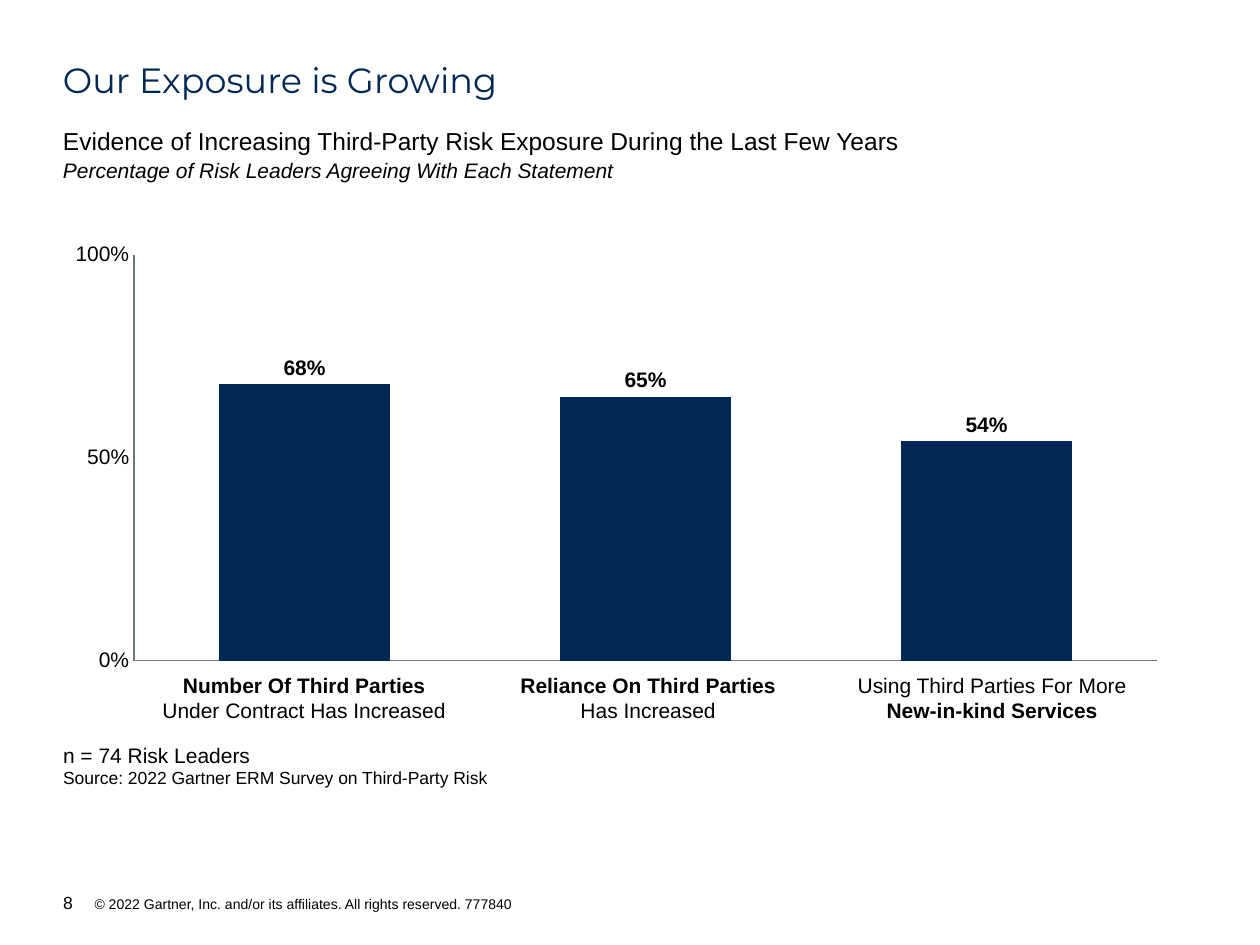
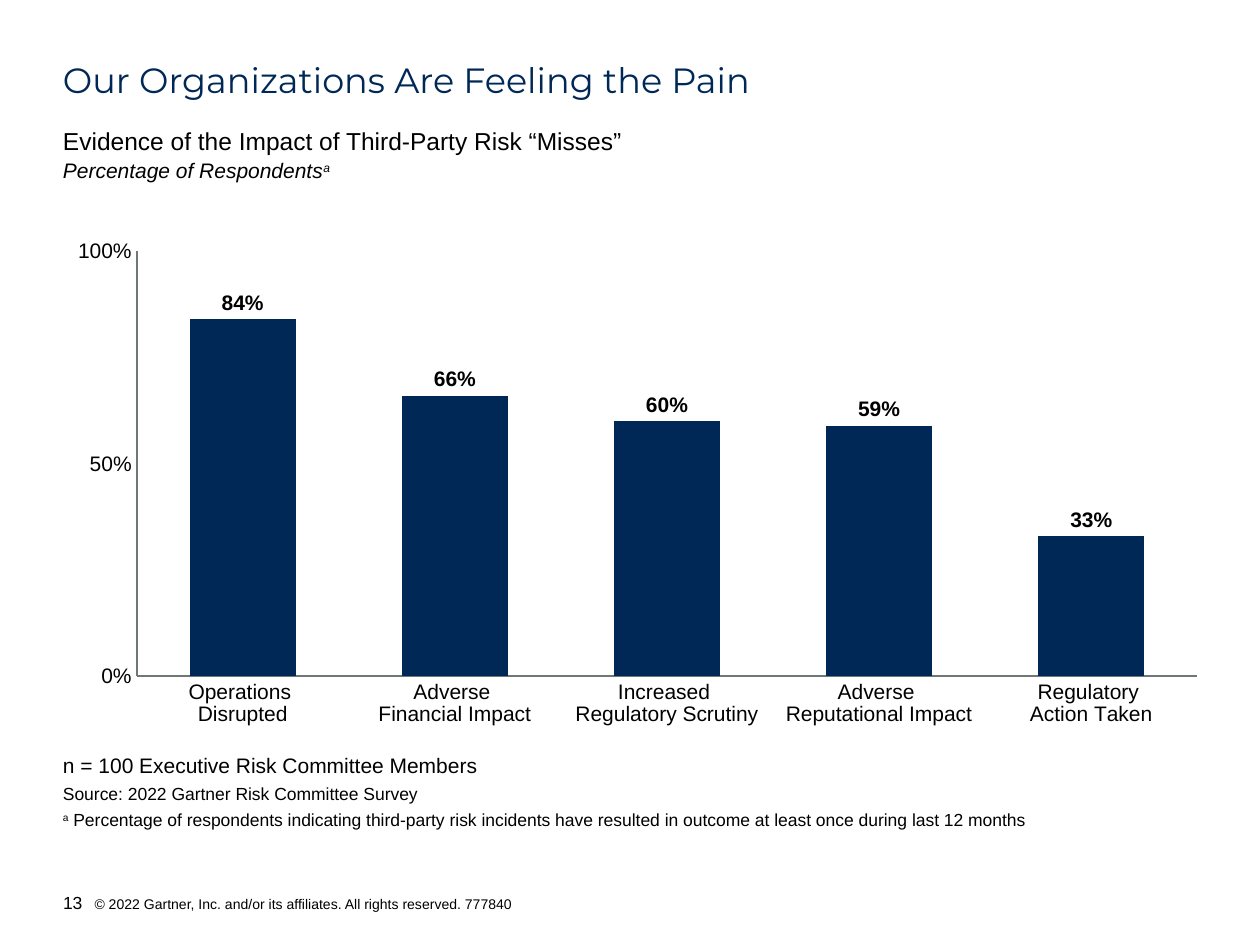
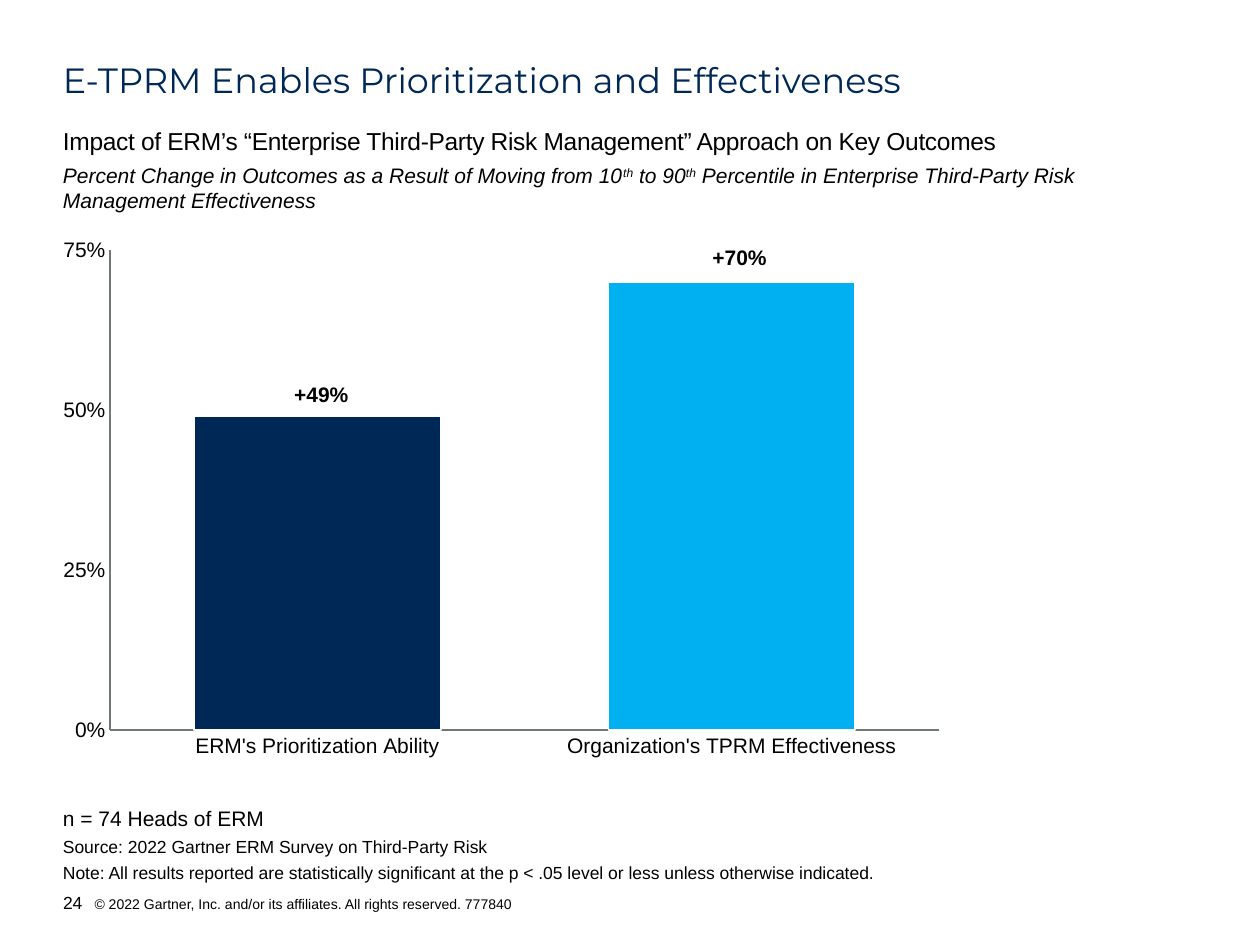
from dataclasses import dataclass

from lxml import etree
from pptx import Presentation
from pptx import util as u
from pptx.chart import data as chart_data
from pptx.dml.color import RGBColor
from pptx.enum import chart as chart_enum
from pptx.enum import text
from pptx.oxml import ns

NAVY, SKY, GRAY, BLACK, WHITE = "002856", "00B0F0", "6F7878", "000000", "FFFFFF"
BODY_FONT, TITLE_FONT = "Arial", "Montserrat"
MARGIN = 0.5
CONTENT_WIDTH = 9
COPYRIGHT = "© 2022 Gartner, Inc. and/or its affiliates. All rights reserved. 777840"


@dataclass(frozen=True)
class Span:
    text: str
    size: float = 12
    bold: bool = False
    italic: bool = False
    raised: bool = False
    color: str = BLACK
    font: str = BODY_FONT
    tracking: float = 0


@dataclass(frozen=True)
class Area:
    left: float
    top: float
    width: float
    height: float

    def lengths(self) -> list:
        return [u.Inches(side) for side in (self.left, self.top, self.width, self.height)]


@dataclass(frozen=True)
class BarChart:
    area: Area
    bars: dict
    plot: tuple  # x, y, width and height as shares of the chart
    top_value: float = 1
    step: float = 0.5
    gap: int = 100
    labelled: bool = True


def rgb(color: str) -> RGBColor:
    return RGBColor.from_string(color)


def add_text(page, area: Area, paragraphs: list, *, inset_top: float = 0, inset_bottom: float = 0,
             anchor=text.MSO_ANCHOR.TOP, grow: bool = False, align=None, gap: float = 0):
    """Write one paragraph for each list of spans; gap is the points between paragraphs."""
    box = page.shapes.add_textbox(*area.lengths())
    frame = box.text_frame
    frame.word_wrap = True
    frame.auto_size = text.MSO_AUTO_SIZE.SHAPE_TO_FIT_TEXT if grow else text.MSO_AUTO_SIZE.NONE
    frame.vertical_anchor = anchor
    frame.margin_left = frame.margin_right = 0
    frame.margin_top, frame.margin_bottom = u.Inches(inset_top), u.Inches(inset_bottom)
    for index, spans in enumerate(paragraphs):
        para = frame.add_paragraph() if index else frame.paragraphs[0]
        para.alignment = align
        if index and gap:
            para.space_before = u.Pt(gap)
        for span in spans:
            add_span(para, span)
    return box


def add_span(para, span: Span) -> None:
    run = para.add_run()
    run.text = span.text
    font = run.font
    font.name, font.size = span.font, u.Pt(span.size)
    font.bold, font.italic = span.bold, span.italic
    font.color.rgb = rgb(span.color)
    properties = run._r.get_or_add_rPr()
    if span.raised:
        properties.set("baseline", "30000")
    if span.tracking:
        properties.set("spc", str(round(span.tracking * 100)))


def add_page(deck, number: int, title: str, heading: str, subtitle: list,
             subtitle_top: float = 1.25, heading_tracking: float = 0):
    """Start a slide with its footer, title, heading and subtitle."""
    page = deck.slides.add_slide(deck.slide_layouts[6])
    footer = add_text(page, Area(MARGIN, 7.08, 5.99, 0.17),
                      [[Span(str(number), 10), Span("\t" + COPYRIGHT, 8)]],
                      anchor=text.MSO_ANCHOR.BOTTOM, grow=True)
    indent = u.Inches(0.25)
    properties = footer.text_frame.paragraphs[0]._p.get_or_add_pPr()
    properties.set("marL", str(indent))
    properties.set("indent", str(-indent))

    title_box = add_text(page, Area(MARGIN, 0.5, CONTENT_WIDTH, 0.25),
                         [[Span(title, 20, color=NAVY, font=TITLE_FONT)]])
    title_box.text_frame.paragraphs[0].line_spacing = 0.9
    add_text(page, Area(MARGIN, 1, CONTENT_WIDTH, 0.2),
             [[Span(heading, 14, tracking=heading_tracking)]])
    add_text(page, Area(MARGIN, subtitle_top, CONTENT_WIDTH, 0.2), [subtitle])
    return page


def add_notes(page, top: float, sample: str, *notes: list) -> None:
    """Write the sample size above the smaller source lines."""
    add_text(page, Area(MARGIN, top, CONTENT_WIDTH, 0.72), [[Span(sample)], *notes],
             inset_top=0.1, anchor=text.MSO_ANCHOR.BOTTOM, grow=True, gap=3)


def style_font(font, bold: bool = False) -> None:
    font.name, font.size, font.bold = BODY_FONT, u.Pt(12), bold
    font.color.rgb = rgb(BLACK)


def set_plot_area(chart, shares: tuple) -> None:
    plot_area = chart._chartSpace.chart.plotArea
    for old in plot_area.findall(ns.qn("c:layout")):
        plot_area.remove(old)
    layout = etree.Element(ns.qn("c:layout"))
    manual = etree.SubElement(layout, ns.qn("c:manualLayout"))
    settings = [("layoutTarget", "inner"), ("xMode", "edge"), ("yMode", "edge"),
                *zip("xywh", shares)]
    for name, value in settings:
        etree.SubElement(manual, ns.qn(f"c:{name}")).set("val", str(value))
    plot_area.insert(0, layout)


def add_bar_chart(page, design: BarChart):
    data = chart_data.CategoryChartData(number_format="0%")
    data.categories = list(design.bars)
    data.add_series("Series 1", list(design.bars.values()))
    return draw_chart(page, design, data)


def draw_chart(page, design: BarChart, data):
    chart = page.shapes.add_chart(chart_enum.XL_CHART_TYPE.COLUMN_CLUSTERED,
                                  *design.area.lengths(), data).chart
    chart.has_title = chart.has_legend = False
    style_font(chart.font)
    set_plot_area(chart, design.plot)

    for axis in (chart.category_axis, chart.value_axis):
        axis.has_major_gridlines = False
        axis.major_tick_mark = axis.minor_tick_mark = chart_enum.XL_TICK_MARK.NONE
        axis.format.line.color.rgb = rgb(GRAY)
        axis.format.line.width = u.Pt(1)
        style_font(axis.tick_labels.font)
    scale = chart.value_axis
    scale.minimum_scale, scale.maximum_scale, scale.major_unit = 0, design.top_value, design.step
    scale.tick_labels.number_format = "0%"
    scale.tick_labels.number_format_is_linked = False

    plot = chart.plots[0]
    plot.gap_width = design.gap
    plot.vary_by_categories = False
    fill = plot.series[0].format.fill
    fill.solid()
    fill.fore_color.rgb = rgb(NAVY)
    if design.labelled:
        plot.has_data_labels = True
        labels = plot.data_labels
        labels.show_value = True
        labels.number_format, labels.number_format_is_linked = "0%", False
        labels.position = chart_enum.XL_LABEL_POSITION.OUTSIDE_END
        style_font(labels.font, bold=True)
    return chart


def add_exposure_page(deck) -> None:
    page = add_page(deck, 8, "Our Exposure is Growing",
                    "Evidence of Increasing Third-Party Risk Exposure During the Last Few Years",
                    [Span("Percentage of Risk Leaders Agreeing With Each Statement", italic=True)])
    add_text(page, Area(MARGIN, 5.79, 7.75, 0.48),
             [[Span("n = 74 Risk Leaders")],
              [Span("Source: 2022 Gartner ERM Survey on Third-Party Risk", 10)]],
             inset_top=0.1, grow=True)

    data = chart_data.CategoryChartData(number_format="0%")
    data.categories = [" "] * 3  # the statements below carry mixed weights
    data.add_series("Series 1", [0.68, 0.65, 0.54])
    draw_chart(page, BarChart(Area(MARGIN, 1.92, 8.69, 3.62), {}, (0.065, 0.028, 0.935, 0.89)), data)

    statements = [
        [Span("Number Of Third Parties ", bold=True), Span("Under Contract Has Increased")],
        [Span("Reliance On Third Parties ", bold=True), Span("Has Increased")],
        [Span("Using Third Parties For More "), Span("New-in-kind Services", bold=True)],
    ]
    for index, statement in enumerate(statements):
        add_text(page, Area(1.28 + 2.73 * index, 5.29, 2.27, 0.45), [statement],
                 inset_top=0.05, grow=True, align=text.PP_ALIGN.CENTER)


def add_impact_page(deck) -> None:
    page = add_page(deck, 13, "Our Organizations Are Feeling the Pain",
                    "Evidence of the Impact of Third-Party Risk “Misses”",
                    [Span("Percentage of Respondents", italic=True),
                     Span("a", italic=True, raised=True)])
    add_notes(page, 5.87, "n = 100 Executive Risk Committee Members",
              [Span("Source: 2022 Gartner Risk Committee Survey", 10)],
              [Span("a", 10, raised=True),
               Span(" Percentage of respondents indicating third-party risk incidents have "
                    "resulted in outcome at least once during last 12 months", 10)])
    impacts = {
        "Operations \nDisrupted": 0.84,
        "Adverse \nFinancial Impact": 0.66,
        "Increased \nRegulatory Scrutiny": 0.6,
        "Adverse \nReputational Impact": 0.59,
        "Regulatory \nAction Taken": 0.33,
    }
    add_bar_chart(page, BarChart(Area(MARGIN, 1.88, 9.01, 4.09), impacts,
                                 (0.065, 0.028, 0.935, 0.825)))


def add_outcomes_page(deck) -> None:
    page = add_page(deck, 24, "E-TPRM Enables Prioritization and Effectiveness",
                    "Impact of ERM’s “Enterprise Third-Party Risk Management” Approach on Key Outcomes",
                    [Span("Percent Change in Outcomes as a Result of Moving from 10", italic=True),
                     Span("th", italic=True, raised=True),
                     Span(" to 90", italic=True),
                     Span("th", italic=True, raised=True),
                     Span(" Percentile in Enterprise Third-Party Risk Management Effectiveness",
                          italic=True)],
                    subtitle_top=1.29, heading_tracking=-0.2)
    outcomes = {"ERM's Prioritization Ability": 0.49, "Organization's TPRM Effectiveness": 0.7}
    chart = add_bar_chart(page, BarChart(Area(MARGIN, 1.77, 6.96, 4.36), outcomes,
                                         (0.055, 0.049, 0.946, 0.874),
                                         top_value=0.75, step=0.25, gap=68, labelled=False))
    series = chart.plots[0].series[0]
    effectiveness = series.points[1].format
    effectiveness.fill.solid()
    effectiveness.fill.fore_color.rgb = rgb(SKY)
    for bar in (series.format, effectiveness):
        bar.line.color.rgb = rgb(WHITE)
        bar.line.width = u.Pt(1)

    add_notes(page, 6.29, "n = 74 Heads of ERM",
              [Span("Source: 2022 Gartner ERM Survey on Third-Party Risk", 10)],
              [Span("Note: All results reported are statistically significant at the p < .05 "
                    "level or less unless otherwise indicated.", 10)])
    for change, left, top in (("+49%", 2.19, 2.98), ("+70%", 5.51, 1.89)):
        add_text(page, Area(left, top, 0.72, 0.3), [[Span(change, bold=True)]],
                 inset_top=0.05, inset_bottom=0.05, grow=True, align=text.PP_ALIGN.CENTER)


def main() -> None:
    deck = Presentation()
    deck.slide_width, deck.slide_height = u.Inches(10), u.Inches(7.5)
    add_exposure_page(deck)
    add_impact_page(deck)
    add_outcomes_page(deck)
    deck.save("out.pptx")


if __name__ == "__main__":
    main()
